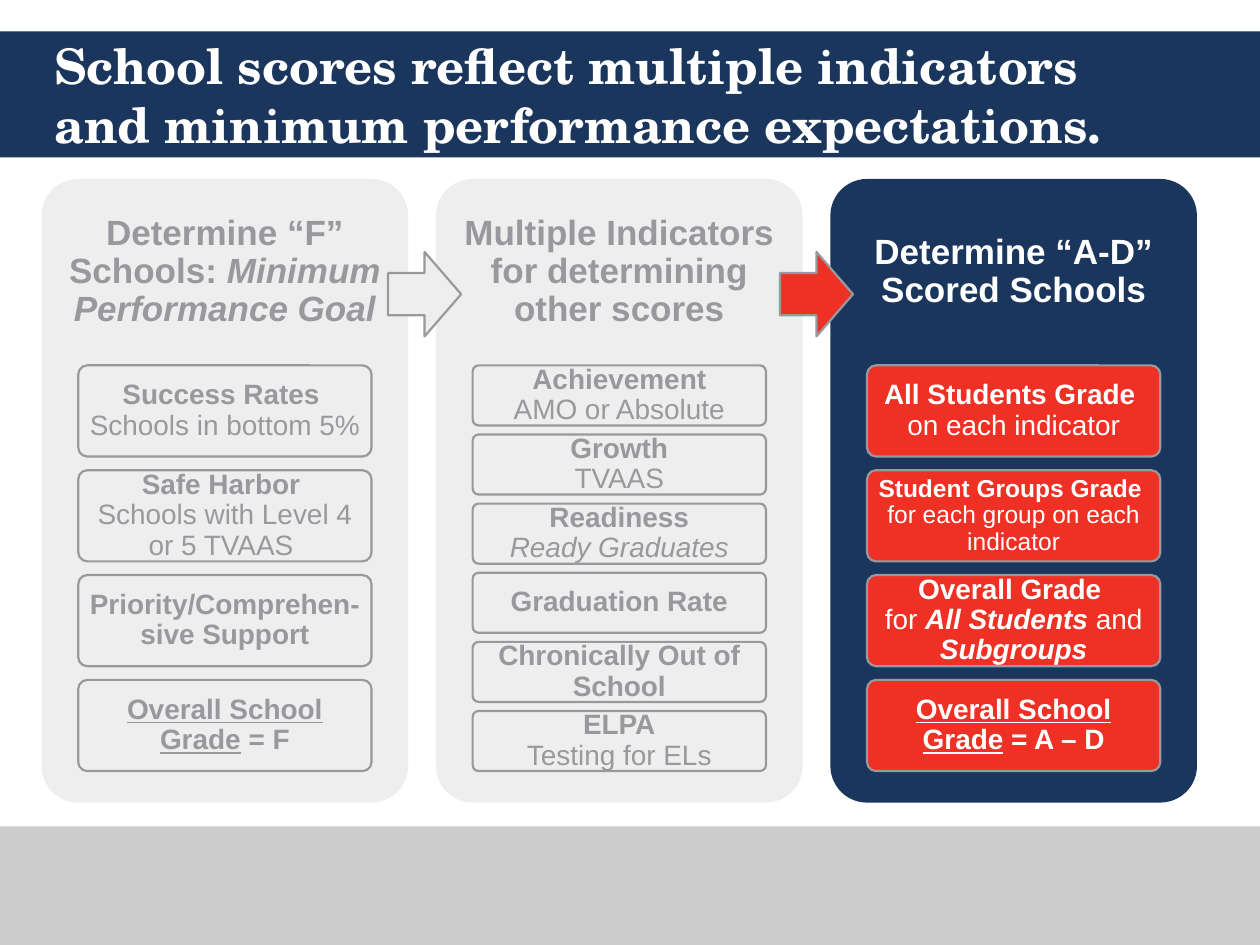
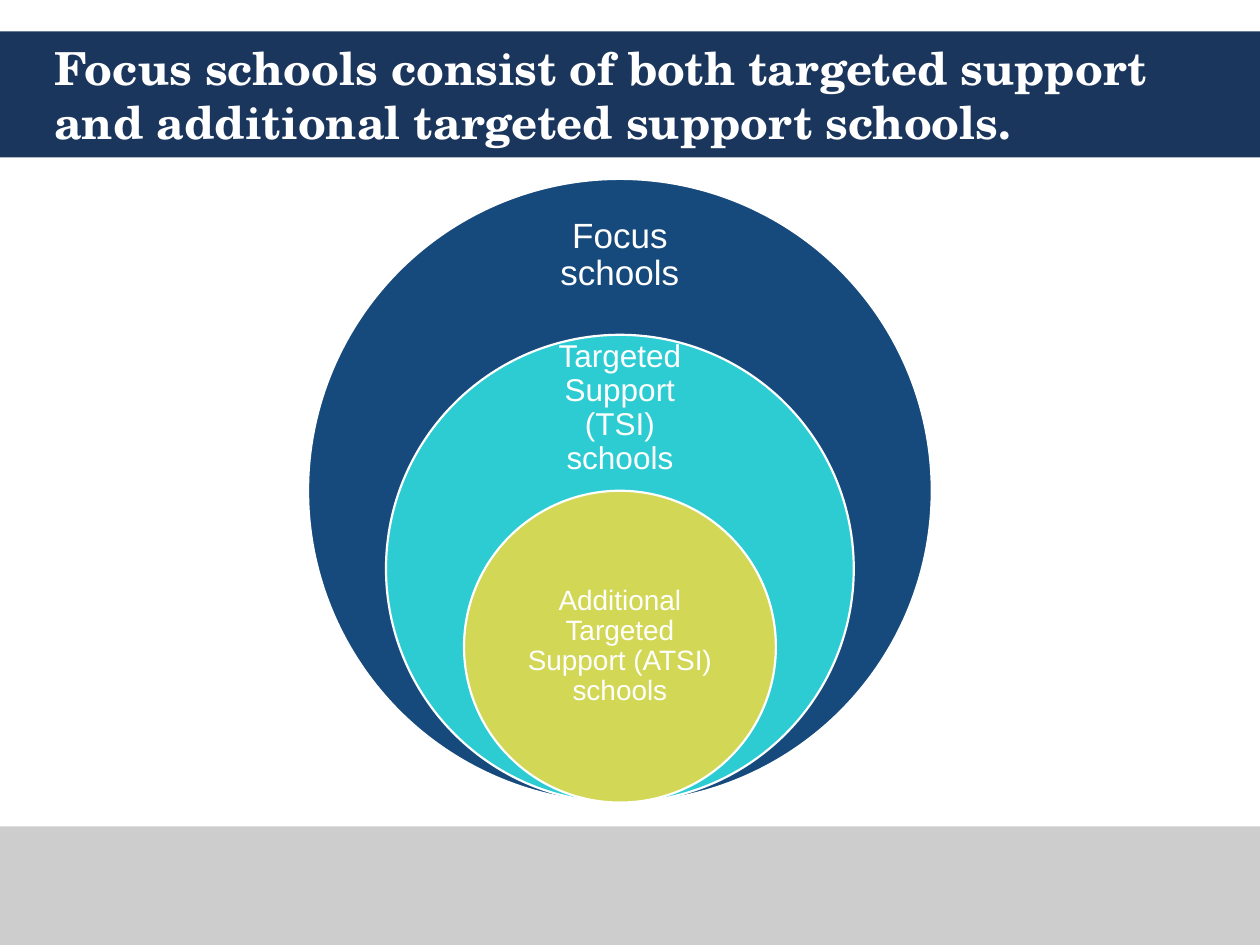
from pptx import Presentation
from pptx.dml.color import RGBColor
from pptx.enum.shapes import MSO_SHAPE
from pptx.enum.text import MSO_ANCHOR, MSO_AUTO_SIZE, PP_ALIGN
from pptx.util import Inches, Pt

RECT, ROUND = MSO_SHAPE.RECTANGLE, MSO_SHAPE.ROUNDED_RECTANGLE
ARROW, OVAL = MSO_SHAPE.RIGHT_ARROW, MSO_SHAPE.OVAL
LEFT, CENTER = PP_ALIGN.LEFT, PP_ALIGN.CENTER
MIDDLE, NO_FIT = MSO_ANCHOR.MIDDLE, MSO_AUTO_SIZE.NONE

NAVY = RGBColor(0x1B, 0x36, 0x5D)
RED = RGBColor(0xEE, 0x31, 0x24)
WHITE = RGBColor(0xFF, 0xFF, 0xFF)
PALE = RGBColor(0xEE, 0xEE, 0xEE)
SILVER = RGBColor(0xCD, 0xCD, 0xCD)
GRAY = RGBColor(0x98, 0x99, 0x9D)
BLUE = RGBColor(0x17, 0x4A, 0x7C)
TEAL = RGBColor(0x2D, 0xCC, 0xD3)
LIME = RGBColor(0xD2, 0xD7, 0x55)
TITLE_FONT, BODY_FONT = "TeX Gyre Schola", "Arial"

# A text is a list of paragraphs; a paragraph is a list of (words, style)
# runs, where style holds any of b (bold), i (italic) and u (underline).
BANDS = [(0.25, 1, NAVY), (6.56, 0.94, SILVER)]  # top, height, fill

SCORES_TITLE = ("School scores reflect multiple indicators "
                "and minimum performance expectations.")
COLUMNS = [
    dict(panel=PALE, box=PALE, ink=GRAY,
         heading=[[("Determine “F” Schools: ", "b"),
                   ("Minimum Performance Goal", "bi")]],
         boxes=[
             [[("Success Rates ", "b")], [("Schools in bottom 5%", "")]],
             [[("Safe Harbor ", "b")],
              [("Schools with Level 4 or 5 TVAAS ", "")]],
             [[("Priority/Comprehen-sive Support", "b")]],
             [[("Overall School Grade", "bu"), (" = F", "b")]],
         ]),
    dict(panel=PALE, box=PALE, ink=GRAY,
         heading=[[("Multiple Indicators for determining other scores", "b")]],
         boxes=[
             [[("Achievement", "b")], [("AMO or Absolute", "")]],
             [[("Growth", "b")], [("TVAAS", "")]],
             [[("Readiness", "b")], [("Ready Graduates", "i")]],
             [[("Graduation Rate", "b")]],
             [[("Chronically Out of School", "b")]],
             [[("ELPA", "b")], [("Testing for ELs", "")]],
         ]),
    dict(panel=NAVY, box=RED, ink=WHITE, sizes={1: 14},
         heading=[[("Determine “A-D” Scored Schools", "b")]],
         boxes=[
             [[("All Students Grade ", "b")], [("on each indicator", "")]],
             [[("Student Groups Grade ", "b")],
              [("for each group on each indicator", "")]],
             [[("Overall Grade ", "b")],
              [("for ", ""), ("All Students ", "bi"), ("and ", ""),
               ("Subgroups", "bi")]],
             [[("Overall School Grade", "bu"), (" = A – D", "b")]],
         ]),
]
ARROWS = [(3.08, PALE), (6.19, RED)]  # left, fill

FOCUS_TITLE = ("Focus schools consist of both targeted support "
               "and additional targeted support schools.")
CIRCLES = [  # words, share of full size, fill, text size, text top, height, inset
    ("Focus schools", 1, BLUE, 20, 1.66, 0.74, 0.16),
    ("Targeted Support (TSI) schools", 0.75, TEAL, 18, 2.89, 0.7, 0.14),
    ("Additional Targeted Support (ATSI) schools", 0.5, LIME, 16, 4.51, 1.24, 0.12),
]

BODY_TOP, BODY_H = 1.42, 4.95
PANEL_LEFT, PANEL_W, PANEL_STEP = 0.33, 2.91, 3.13
HEADING_H = 1.48
BOX_TOP, STACK_H, BOX_GAP = 2.9, 3.22, 0.15  # gap as a share of box height
CIRCLE_MID, CIRCLE_TEXT_W = 4.92, 1.74


def write(tf, paragraphs, size, color, font=BODY_FONT, align=CENTER,
          spacing=0.9, inset=(0.1, 0.05)):
    """Fill a text frame with styled paragraphs."""
    tf.word_wrap, tf.auto_size, tf.vertical_anchor = True, NO_FIT, MIDDLE
    tf.margin_left = tf.margin_right = Inches(inset[0])
    tf.margin_top = tf.margin_bottom = Inches(inset[1])
    for i, runs in enumerate(paragraphs):
        p = tf.add_paragraph() if i else tf.paragraphs[0]
        p.alignment, p.line_spacing = align, spacing
        for words, style in runs:
            r = p.add_run()
            r.text = words
            f = r.font
            f.name, f.size, f.color.rgb = font, Pt(size), color
            f.bold, f.italic = "b" in style, "i" in style
            f.underline = "u" in style


def add_shape(s, kind, x, y, w, h, fill, line=None):
    """Add a flat preset shape; round corners to a tenth."""
    sp = s.shapes.add_shape(kind, Inches(x), Inches(y), Inches(w), Inches(h))
    sp.shadow.inherit = False
    sp.fill.solid()
    sp.fill.fore_color.rgb = fill
    if line is None:
        sp.line.fill.background()
    else:
        sp.line.color.rgb, sp.line.width = line, Pt(1.25)
    if kind == ROUND:
        sp.adjustments[0] = 0.1
    return sp


def add_text(s, x, y, w, h, paragraphs, size, color, **fmt):
    """Add a text box."""
    sp = s.shapes.add_textbox(Inches(x), Inches(y), Inches(w), Inches(h))
    write(sp.text_frame, paragraphs, size, color, **fmt)


def add_slide(prs, layout, title, size):
    """Add a slide with its title set on the navy band."""
    s = prs.slides.add_slide(layout)
    sp = s.shapes.title
    sp.left, sp.top = Inches(0.33), Inches(0.25)
    sp.width, sp.height = Inches(9.08), Inches(1)
    write(sp.text_frame, [[(title, "b")]], size, WHITE, font=TITLE_FONT,
          align=LEFT, spacing=1.0)
    return s


def move_bands_to_layout(s, layout):
    """Draw the shared bands and put them at the back of the layout."""
    for top, height, fill in BANDS:
        band = add_shape(s, RECT, 0, top, 10, height, fill)
        layout.shapes.element.insert(2, band.element)


def add_column(s, x, col):
    """Add a panel with a heading and an evenly spaced stack of boxes."""
    add_shape(s, ROUND, x, BODY_TOP, PANEL_W, BODY_H, col["panel"])
    add_text(s, x, BODY_TOP, PANEL_W, HEADING_H, col["heading"], 20,
             col["ink"], inset=(0.08, 0.08))
    n = len(col["boxes"])
    h = STACK_H / (n + BOX_GAP * (n - 1))
    for i, paragraphs in enumerate(col["boxes"]):
        sp = add_shape(s, ROUND, x + 0.1 * PANEL_W,
                       BOX_TOP + i * h * (1 + BOX_GAP),
                       0.8 * PANEL_W, h, col["box"], GRAY)
        write(sp.text_frame, paragraphs, col.get("sizes", {}).get(i, 16),
              col["ink"], inset=(0.06, 0.05))


prs = Presentation()
prs.slide_width, prs.slide_height = Inches(10), Inches(7.5)
layout = prs.slide_layouts[5]

s = add_slide(prs, layout, SCORES_TITLE, 28)
move_bands_to_layout(s, layout)
for i, col in enumerate(COLUMNS):
    add_column(s, PANEL_LEFT + i * PANEL_STEP, col)
for x, fill in ARROWS:
    add_shape(s, ARROW, x, 2, 0.58, 0.67, fill, GRAY)

s = add_slide(prs, layout, FOCUS_TITLE, 26)
for words, share, fill, size, top, height, inset in CIRCLES:
    d = BODY_H * share
    add_shape(s, OVAL, CIRCLE_MID - d / 2, BODY_TOP + BODY_H - d, d, d,
              fill, WHITE)
    add_text(s, CIRCLE_MID - CIRCLE_TEXT_W / 2, top, CIRCLE_TEXT_W, height,
             [[(words, "")]], size, WHITE, inset=(inset, inset))

prs.save("out.pptx")
